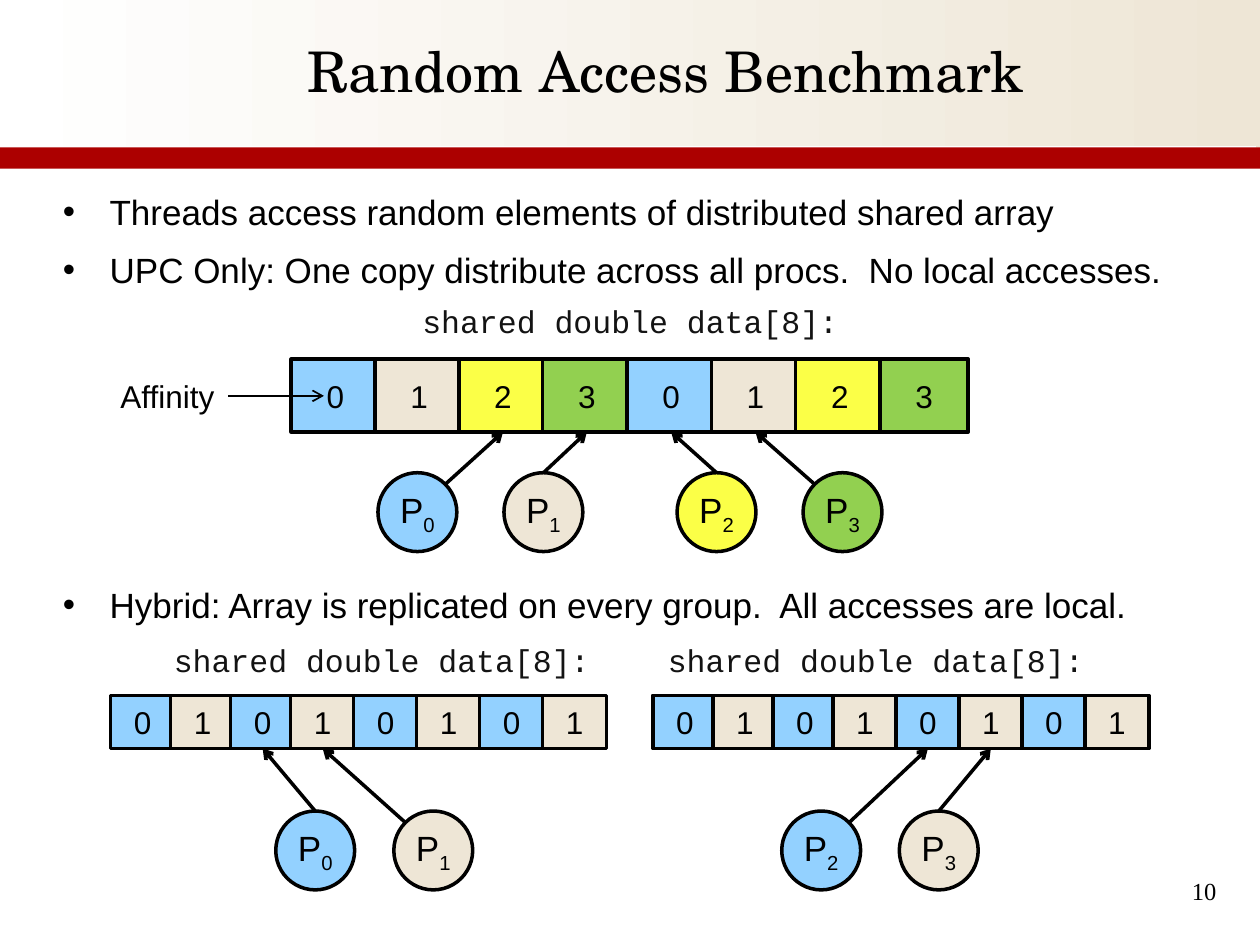
from dataclasses import dataclass
from math import sqrt
from typing import Any

from lxml.etree import SubElement
from pptx import Presentation
from pptx.dml.color import RGBColor
from pptx.enum.shapes import MSO_CONNECTOR, MSO_SHAPE
from pptx.enum.text import MSO_ANCHOR as Anchor, PP_ALIGN as Align
from pptx.oxml.ns import qn
from pptx.util import Cm, Pt

COLORS = {
    "black": "000000", "code": "131313", "white": "FFFFFF", "red": "AC0000",
    "beige": "EEE6D6", "blue": "93D1FF", "yellow": "FBFF47", "green": "92D050",
}
AFFINITY_FILLS = ("blue", "beige", "yellow", "green")
CELLS = 8
DIAMETER = 1.59


@dataclass(frozen=True)
class Proc:
    """A thread circle, the cell it reads, and the side its arrow leaves from."""
    number: int
    left: float
    target: int
    side: int


@dataclass(frozen=True)
class SharedArray:
    """A row of cells with its caption and the threads that access it."""
    left: float
    top: float
    width: float
    height: float
    step: float
    late_step: float
    owners: int
    caption_left: float
    caption_top: float
    proc_top: float
    procs: tuple[Proc, ...]

    def cell_left(self, i: int) -> float:
        """Return the left edge of a cell."""
        return self.left + min(i, 3) * self.step + max(i - 3, 0) * self.late_step


ARRAYS = (
    SharedArray(5.87, 7.24, 1.78, 1.47, 1.69, 1.7, 4, 8.26, 5.97, 9.53,
                (Proc(0, 7.62, 2, 1), Proc(1, 10.16, 3, 0),
                 Proc(2, 13.65, 4, 0), Proc(3, 16.19, 5, -1))),
    SharedArray(2.23, 14.02, 1.29, 1.07, 1.21, 1.27, 2, 3.25, 12.8, 16.35,
                (Proc(0, 5.56, 2, 0), Proc(1, 7.94, 3, -1))),
    SharedArray(13.16, 14.02, 1.29, 1.07, 1.21, 1.27, 2, 13.21, 12.8, 16.35,
                (Proc(2, 15.76, 4, 1), Proc(3, 18.13, 5, 0))),
)
BULLETS = (
    ("Threads access random elements of distributed shared array", 0),
    ("UPC Only: One copy distribute across all procs.  No local accesses.", 8),
    ("Hybrid: Array is replicated on every group.  All accesses are local.", 166.5),
)


def rgb(name: str) -> RGBColor:
    """Look up a named colour."""
    return RGBColor.from_string(COLORS[name])


def write(p: Any, text: str, *, size: float = 18, font: str = "Arial",
          color: str = "black", align: Align = Align.LEFT,
          spacing: float = 1.0, sub: bool = False) -> None:
    """Add a formatted run to a paragraph."""
    p.alignment = align
    p.line_spacing = spacing
    r = p.add_run()
    r.text = text
    r.font.size = Pt(size)
    r.font.name = font
    r.font.color.rgb = rgb(color)
    if sub:
        r.font._element.set("baseline", "-25000")


def add_box(shapes: Any, left: float, top: float, width: float, height: float,
            *, wrap: bool = True, inset: bool = True) -> Any:
    """Add an empty text box."""
    s = shapes.add_textbox(Cm(left), Cm(top), Cm(width), Cm(height))
    tf = s.text_frame
    tf.word_wrap = wrap
    if not inset:
        tf.margin_left = tf.margin_right = tf.margin_top = tf.margin_bottom = 0
    return s


def add_block(shapes: Any, kind: MSO_SHAPE, left: float, top: float,
              width: float, height: float, fill: str, outline: bool = True) -> Any:
    """Add a filled shape ready for centred text."""
    s = shapes.add_shape(kind, Cm(left), Cm(top), Cm(width), Cm(height))
    s.shadow.inherit = False
    s.fill.solid()
    s.fill.fore_color.rgb = rgb(fill)
    if outline:
        s.line.color.rgb = rgb("black")
        s.line.width = Pt(2)
    else:
        s.line.fill.background()
    s.text_frame.word_wrap = False
    s.text_frame.vertical_anchor = Anchor.MIDDLE
    return s


def add_line(shapes: Any, x1: float, y1: float, x2: float, y2: float, *,
             color: str = "black", width: float = 2, arrow: bool = True) -> Any:
    """Add a straight connector with an optional arrowhead."""
    c = shapes.add_connector(MSO_CONNECTOR.STRAIGHT, Cm(x1), Cm(y1), Cm(x2), Cm(y2))
    c.line.color.rgb = rgb(color)
    c.line.width = Pt(width)
    if arrow:
        SubElement(c.line._get_or_add_ln(), qn("a:tailEnd"), type="arrow")
    SubElement(c._element.spPr, qn("a:effectLst"))
    return c


def add_header(shapes: Any) -> None:
    """Draw the title band and the title."""
    band = add_block(shapes, MSO_SHAPE.RECTANGLE, 0, 0, 25.4, 3.02, "beige", False)
    band.fill.gradient()
    band.fill.gradient_angle = 180
    for stop, name, position in zip(band.fill.gradient_stops, ("beige", "white"), (0, 1)):
        stop.color.rgb = rgb(name)
        stop.position = position
    add_line(shapes, 0, 2.97, 25.32, 2.97, color="white", width=1.5, arrow=False)
    add_block(shapes, MSO_SHAPE.RECTANGLE, 0, 2.97, 25.4, 0.43, "red", False)
    tf = add_box(shapes, 2.74, 0.64, 21.36, 1.68, inset=False).text_frame
    tf.vertical_anchor = Anchor.MIDDLE
    write(tf.paragraphs[0], "Random Access Benchmark", size=32,
          font="TeX Gyre Schola", align=Align.CENTER, spacing=0.95)


def add_bullets(shapes: Any) -> None:
    """Write the bulleted statements."""
    tf = add_box(shapes, 1.27, 3.81, 22.86, 14.83, inset=False).text_frame
    for i, (text, before) in enumerate(BULLETS):
        p = tf.add_paragraph() if i else tf.paragraphs[0]
        p.space_before = Pt(before)
        pPr = p._p.get_or_add_pPr()
        pPr.set("marL", str(Cm(0.94)))
        pPr.set("indent", str(-Cm(0.94)))
        write(p, text, size=20, spacing=1.04)
        SubElement(pPr, qn("a:buFont"), typeface="Arial")
        SubElement(pPr, qn("a:buChar"), char="•")


def add_array(shapes: Any, a: SharedArray) -> None:
    """Draw a shared array, its caption, threads and arrows."""
    caption = add_box(shapes, a.caption_left, a.caption_top, 8.89, 1.02, wrap=False)
    write(caption.text_frame.paragraphs[0], "shared double data[8]:",
          font="Courier New", color="code", align=Align.CENTER)
    cells = []
    for i in range(CELLS):
        owner = i % a.owners
        s = add_block(shapes, MSO_SHAPE.RECTANGLE, a.cell_left(i), a.top,
                      a.width, a.height, AFFINITY_FILLS[owner])
        write(s.text_frame.paragraphs[0], str(owner), align=Align.CENTER)
        cells.append(s)
    radius = DIAMETER / 2
    for proc in a.procs:
        s = add_block(shapes, MSO_SHAPE.OVAL, proc.left, a.proc_top, DIAMETER,
                      DIAMETER, AFFINITY_FILLS[proc.number % a.owners])
        s.text_frame.margin_left = s.text_frame.margin_right = 0
        p = s.text_frame.paragraphs[0]
        write(p, "P", size=20, align=Align.CENTER)
        write(p, str(proc.number), size=20, align=Align.CENTER, sub=True)
        rise = radius / sqrt(2) if proc.side else radius
        x = proc.left + radius + proc.side * rise
        y = a.proc_top + radius - rise
        c = add_line(shapes, x, y, a.cell_left(proc.target) + a.width / 2, a.top + a.height)
        if not proc.side:
            c.begin_connect(s, 0)
        c.end_connect(cells[proc.target], 2)


def main() -> None:
    """Build the slide and save it."""
    prs = Presentation()
    prs.slide_width, prs.slide_height = Cm(25.4), Cm(19.05)
    shapes = prs.slides.add_slide(prs.slide_layouts[6]).shapes
    add_header(shapes)
    add_bullets(shapes)
    for a in ARRAYS:
        add_array(shapes, a)
    label = add_box(shapes, 2.18, 7.47, 2.42, 1.02, wrap=False)
    write(label.text_frame.paragraphs[0], "Affinity")
    add_line(shapes, 4.6, 7.98, 6.53, 7.98, width=1).begin_connect(label, 3)
    number = add_box(shapes, 18.85, 17.58, 5.92, 1.07)
    write(number.text_frame.paragraphs[0], "10", size=14,
          font="Times New Roman", align=Align.RIGHT, spacing=0.93)
    prs.save("out.pptx")


if __name__ == "__main__":
    main()
